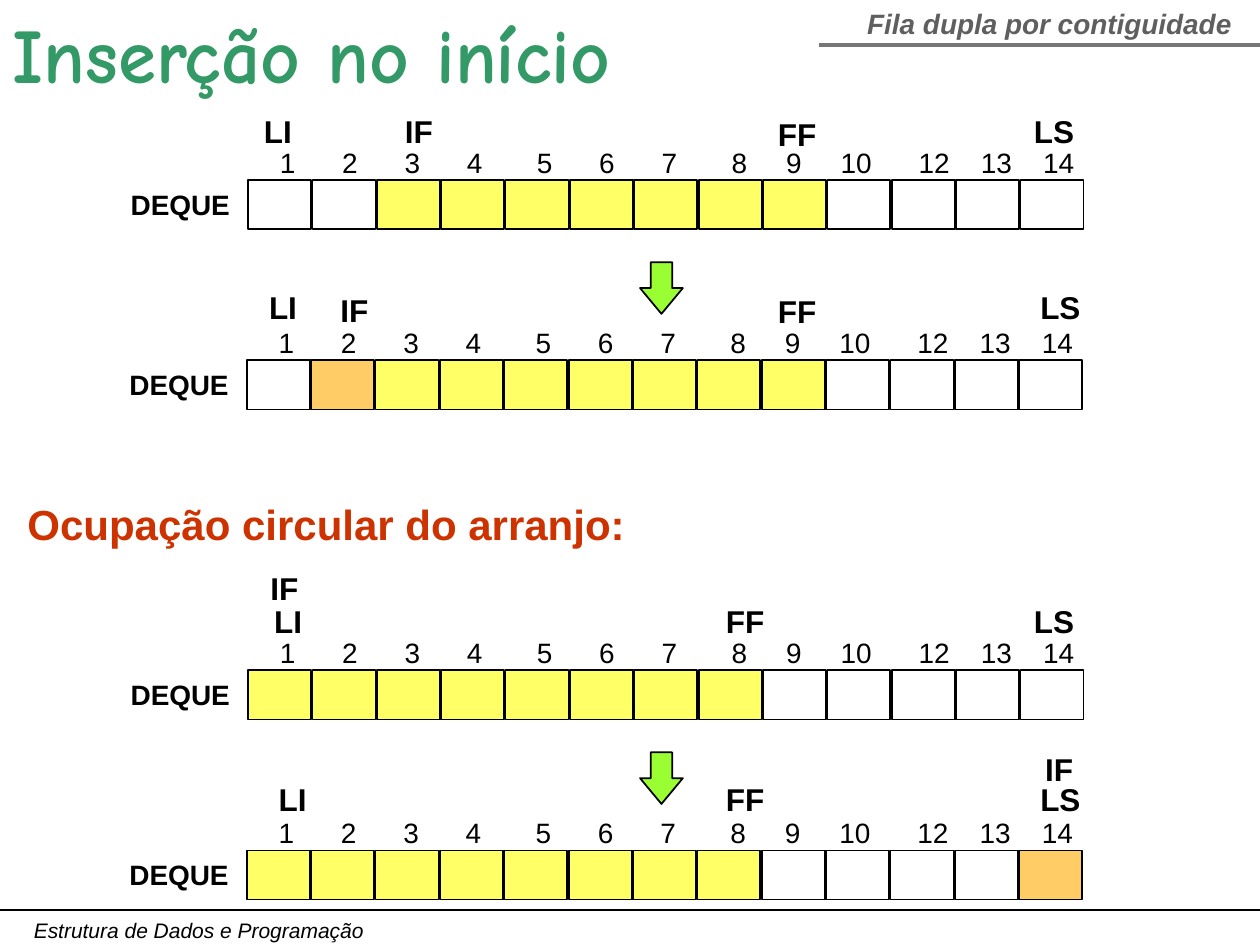
from lxml.etree import SubElement
from pptx import Presentation
from pptx.dml.color import RGBColor
from pptx.enum.shapes import MSO_CONNECTOR, MSO_SHAPE
from pptx.enum.text import MSO_ANCHOR, MSO_AUTO_SIZE, PP_ALIGN
from pptx.oxml.ns import qn
from pptx.util import Inches, Pt

BLACK = RGBColor(0x00, 0x00, 0x00)
WHITE = RGBColor(0xFF, 0xFF, 0xFF)
YELLOW = RGBColor(0xFF, 0xFF, 0x66)
ORANGE = RGBColor(0xFF, 0xCC, 0x66)
LIME = RGBColor(0x99, 0xFF, 0x33)
GREEN = RGBColor(0x33, 0x99, 0x66)
RED = RGBColor(0xCC, 0x33, 0x00)
GRAY = RGBColor(0x77, 0x77, 0x77)
DARK_GRAY = RGBColor(0x5F, 0x5F, 0x5F)

SLIDE_W, SLIDE_H = Inches(10), Inches(7.5)
CELLS = 13
COL, ROW = Inches(6.64) / CELLS, Inches(0.39)
CELL_W = Inches(0.5)
INDEXES = (1, 2, 3, 4, 5, 6, 7, 8, 9, 10, 12, 13, 14)
INDEX_STOPS = (8, 16, 24, 33, 41, 49, 58, 65, 72, 82, 90, 98)
STOP_UNIT = Pt(4.45)

# left, top, filled cells, inserted cell, markers (text, centre column, centre row)
DEQUES = (
    (1.97, 1.43, range(2, 9), None,
     (("LI", 0.46, -1), ("IF", 2.65, -1), ("FF", 8.53, -0.95), ("LS", 12.52, -1))),
    (1.96, 2.86, range(2, 9), 1,
     (("LI", 0.56, -1.08), ("IF", 1.67, -1.03), ("FF", 8.55, -1), ("LS", 12.64, -1.08))),
    (1.97, 5.32, range(8), None,
     (("IF", 0.56, -1.67), ("LI", 0.62, -1), ("FF", 7.72, -1), ("LS", 12.52, -1))),
    (1.96, 6.75, range(8), 12,
     (("IF", 12.62, -1.67), ("LI", 0.71, -1.05), ("FF", 7.74, -1.05), ("LS", 12.64, -1.05))),
)


def write(tf, text, size=16, color=BLACK, font="Arial", bold=False, italic=False,
          align=PP_ALIGN.LEFT, anchor=MSO_ANCHOR.TOP, wrap=False):
    tf.word_wrap = wrap
    tf.auto_size = MSO_AUTO_SIZE.NONE
    tf.vertical_anchor = anchor
    p = tf.paragraphs[0]
    p.alignment = align
    r = p.add_run()
    r.text = text
    r.font.name, r.font.size = font, Pt(size)
    r.font.bold, r.font.italic = bold, italic
    r.font.color.rgb = color
    return p


def add_text(s, box, text, **fmt):
    tb = s.shapes.add_textbox(*(int(v) for v in box))
    return write(tb.text_frame, text, **fmt)


def add_centred(s, x, y, w, h, text, **fmt):
    """Place a text box by its centre point."""
    add_text(s, (x - w / 2, y - h / 2, w, h), text, bold=True, **fmt)


def add_shape(s, kind, box, fill):
    sp = s.shapes.add_shape(kind, *(int(v) for v in box))
    sp.shadow.inherit = False
    sp.fill.solid()
    sp.fill.fore_color.rgb = fill
    sp.line.color.rgb = BLACK
    sp.line.width = Pt(1)
    return sp


def add_rule(s, x, y, color, width):
    """Draw a horizontal line from x to the right edge of the slide."""
    line = s.shapes.add_connector(MSO_CONNECTOR.STRAIGHT, int(x), int(y), SLIDE_W, int(y))
    line.line.color.rgb = color
    line.line.width = Pt(width)
    SubElement(line._element.spPr, qn("a:effectLst"))


def add_indexes(s, left, top):
    box = (left + 0.3 * COL, top - 0.83 * ROW, Inches(6.55), Inches(0.37))
    p = add_text(s, box, "\t".join(map(str, INDEXES)), wrap=True)
    tabs = SubElement(p._p.get_or_add_pPr(), qn("a:tabLst"))
    for stop in INDEX_STOPS:
        SubElement(tabs, qn("a:tab"), pos=str(stop * STOP_UNIT), algn="l")


def add_deque(s, left, top, filled, inserted, markers):
    for i in range(CELLS):
        fill = ORANGE if i == inserted else YELLOW if i in filled else WHITE
        add_shape(s, MSO_SHAPE.RECTANGLE, (left + i * COL, top, CELL_W, ROW), fill)
    add_indexes(s, left, top)
    add_centred(s, left - 1.05 * COL, top + ROW / 2, Inches(0.99), Inches(0.37), "DEQUE")
    for text, col, row in markers:
        add_centred(s, left + col * COL, top + row * ROW, Inches(0.51), Inches(0.4), text,
                    size=18, align=PP_ALIGN.CENTER, anchor=MSO_ANCHOR.MIDDLE)


def add_step_arrow(s, top):
    """Point from the deque whose top is given to the next one."""
    box = (0.508 * SLIDE_W, top + 1.67 * ROW, 0.034 * SLIDE_W, 1.05 * ROW)
    arrow = add_shape(s, MSO_SHAPE.DOWN_ARROW, box, LIME)
    arrow.adjustments[0], arrow.adjustments[1] = 0.5, 0.6


def add_header(s):
    title = s.shapes.title
    title.left, title.top = 0, 0
    title.width, title.height = int(0.54 * SLIDE_W), int(0.11 * SLIDE_H)
    write(title.text_frame, "Inserção no início", size=44, color=GREEN,
          font="Comic Neue", bold=True)
    add_rule(s, 0.65 * SLIDE_W, 0.048 * SLIDE_H, GRAY, 2.25)
    add_text(s, (0.678 * SLIDE_W, 0, 0.31 * SLIDE_W, 0.05 * SLIDE_H),
             "Fila dupla por contiguidade", color=DARK_GRAY, bold=True, italic=True,
             align=PP_ALIGN.CENTER)


def add_footer(s):
    add_rule(s, 0, 0.963 * SLIDE_H, BLACK, 0.75)
    add_text(s, (0.017 * SLIDE_W, 0.964 * SLIDE_H, 0.284 * SLIDE_W, 0.04 * SLIDE_H),
             "Estrutura de Dados e Programação", size=12, italic=True)


def main():
    prs = Presentation()
    prs.slide_width, prs.slide_height = SLIDE_W, SLIDE_H
    s = prs.slides.add_slide(prs.slide_layouts[5])
    add_footer(s)
    for n, (left, top, *content) in enumerate(DEQUES):
        add_deque(s, Inches(left), Inches(top), *content)
        if n % 2 == 0:
            add_step_arrow(s, Inches(top))
    add_text(s, (0.012 * SLIDE_W, 0.521 * SLIDE_H, 0.494 * SLIDE_W, 0.067 * SLIDE_H),
             "Ocupação circular do arranjo:", size=24, color=RED, bold=True)
    add_header(s)
    prs.save("out.pptx")


if __name__ == "__main__":
    main()
